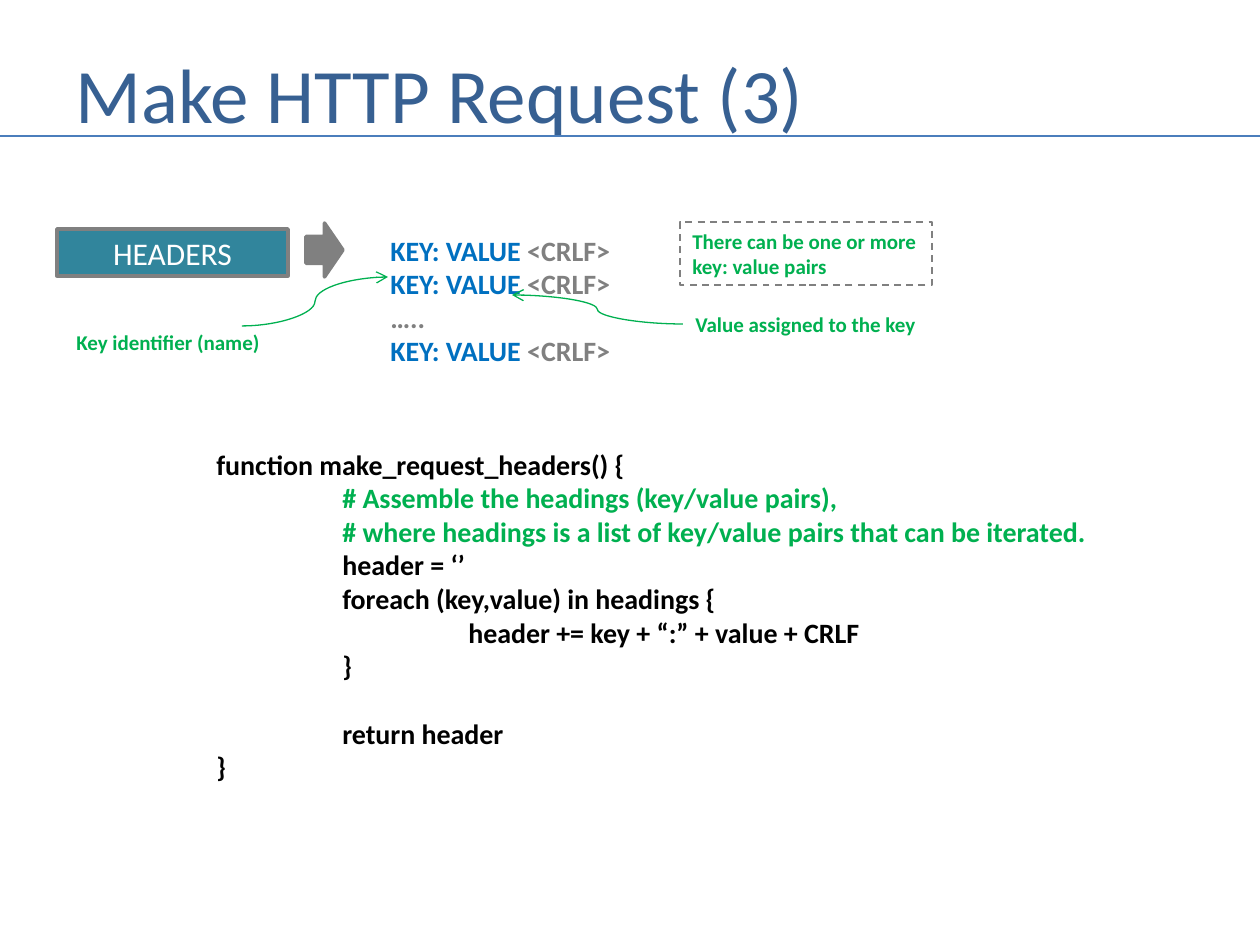
"""Build the slide on assembling HTTP request headers."""
from dataclasses import dataclass

from lxml.etree import SubElement
from pptx import Presentation
from pptx.dml.color import RGBColor as Rgb
from pptx.enum.dml import MSO_LINE_DASH_STYLE as Dash
from pptx.enum.shapes import MSO_CONNECTOR as Link, MSO_SHAPE as Form
from pptx.enum.text import MSO_ANCHOR as Anchor, PP_ALIGN as Align
from pptx.oxml.ns import qn
from pptx.util import Emu, Pt


@dataclass(frozen=True)
class Theme:
    """Hold the colours, the font and the type sizes."""
    font: str = "Calibri"
    title: str = "376092"
    rule: str = "4B7EBC"
    teal: str = "31859C"
    grey: str = "808080"
    blue: str = "0070C0"
    green: str = "00B050"
    black: str = "000000"
    white: str = "FFFFFF"
    head: int = 44
    label: int = 18
    body: int = 16
    note: int = 12


LOOK = Theme()
SCALE = 914400 / 126
TAB = 126


def px(num):
    """Turn px into EMU."""
    return Emu(round(num * SCALE))


def write(frame, rows, size, bold=True, wrap=False):
    """Fill a frame with rows of (text, colour) runs and return its paragraphs."""
    frame.word_wrap = wrap
    for num, row in enumerate(rows):
        para = frame.paragraphs[0] if num == 0 else frame.add_paragraph()
        for text, color in row:
            run = para.add_run()
            run.text = text
            font = run.font
            font.name, font.size, font.bold = LOOK.font, Pt(size), bold
            font.color.rgb = Rgb.from_string(color)
    return frame.paragraphs


def add_text(slide, box, rows, size, **style):
    """Add a text box and return its frame."""
    frame = slide.shapes.add_textbox(*map(px, box)).text_frame
    write(frame, rows, size, **style)
    return frame


def add_form(slide, form, box, fill, width):
    """Add a grey-edged preset shape, with no fill if none is given."""
    shape = slide.shapes.add_shape(form, *map(px, box))
    shape.shadow.inherit = False
    if fill:
        shape.fill.solid()
        shape.fill.fore_color.rgb = Rgb.from_string(fill)
    else:
        shape.fill.background()
    shape.line.color.rgb = Rgb.from_string(LOOK.grey)
    shape.line.width = Pt(width)
    return shape


def add_link(slide, kind, ends, color, width, arrow=False):
    """Add a connector, with an open arrowhead at its end on request."""
    link = slide.shapes.add_connector(kind, *map(px, ends))
    link.line.color.rgb = Rgb.from_string(color)
    link.line.width = Pt(width)
    if arrow:
        SubElement(link.line._get_or_add_ln(), qn("a:tailEnd"), type="arrow")
    SubElement(link._element.spPr, qn("a:effectLst"))


def add_head(slide, box):
    """Place the title and the rule that crosses the slide."""
    x, y, w, h = box
    frame = add_text(slide, (x + 63, y + 38, w - 116, h - 38),
                     [[("Make HTTP Request (3)", LOOK.title)]],
                     LOOK.head, bold=False, wrap=True)
    frame.vertical_anchor = Anchor.MIDDLE
    add_link(slide, Link.STRAIGHT, (x, y + 136, x + w, y + 136), LOOK.rule, 1.5)


def add_pairs(slide, box):
    """Place the header block, its key and value lines and their notes."""
    x, y, w, h = box
    block = add_form(slide, Form.RECTANGLE, (x, y + 7, 231, 47), LOOK.teal, 2)
    block.text_frame.vertical_anchor = Anchor.MIDDLE
    para, = write(block.text_frame, [[("HEADERS", LOOK.white)]],
                  LOOK.label, bold=False)
    para.alignment = Align.CENTER
    add_form(slide, Form.RIGHT_ARROW, (x + 249, y + 1, 37, 54), LOOK.grey, 2)

    pair = [("KEY: VALUE ", LOOK.blue), ("<CRLF>", LOOK.grey)]
    add_text(slide, (x + 321, y + 5, 248, h - 5),
             [pair, pair, [("…..", LOOK.grey)], pair], LOOK.body)

    for ends in ((185, 104, 331, 55), (626, 102, 455, 73)):
        x1, y1, x2, y2 = ends
        add_link(slide, Link.CURVE, (x + x1, y + y1, x + x2, y + y2),
                 LOOK.green, 0.75, arrow=True)
    for text, left, top, width in (("Key identifier (name)", 7, 101, 212),
                                   ("Value assigned to the key", 626, 83, 248)):
        add_text(slide, (x + left, y + top, width, 38),
                 [[(text, LOOK.green)]], LOOK.note)

    note = add_form(slide, Form.RECTANGLE, (x + w - 252, y, 252, 63), None, 1)
    note.line.dash_style = Dash.DASH
    note.text_frame.vertical_anchor = Anchor.TOP
    rows = [[(text, LOOK.green)] for text in
            ("There can be one or more", "key: value pairs")]
    for para in write(note.text_frame, rows, LOOK.note):
        para.alignment = Align.LEFT


def add_code(slide, box):
    """Place the code listing, with one tab stop for each level."""
    lines = (
        "function make_request_headers() {",
        "\t# Assemble the headings (key/value pairs), ",
        "\t# where headings is a list of key/value pairs that can be iterated.",
        "\theader = ‘’",
        "\tforeach (key,value) in headings {",
        "\t\theader += key + “:” + value + CRLF",
        "\t}",
        "\treturn header",
        "}",
    )
    rows = [[(line, LOOK.green if "#" in line else LOOK.black)]
            for line in lines]
    frame = add_text(slide, box, rows, LOOK.body)
    for para, line in zip(frame.paragraphs, lines):
        stops = SubElement(para._p.get_or_add_pPr(), qn("a:tabLst"))
        for step in (1, 2):
            SubElement(stops, qn("a:tab"), pos=str(px(step * TAB)), algn="l")
        if "return" in line:
            para.space_before = Pt(19.5)


def main():
    """Build the slide and save it."""
    deck = Presentation()
    deck.slide_width, deck.slide_height = px(1260), px(945)
    slide = deck.slides.add_slide(deck.slide_layouts[6])
    add_head(slide, (0, 0, 1260, 148))
    add_code(slide, (204, 441, 905, 382))
    add_pairs(slide, (57, 222, 875, 188))
    deck.save("out.pptx")


if __name__ == "__main__":
    main()
